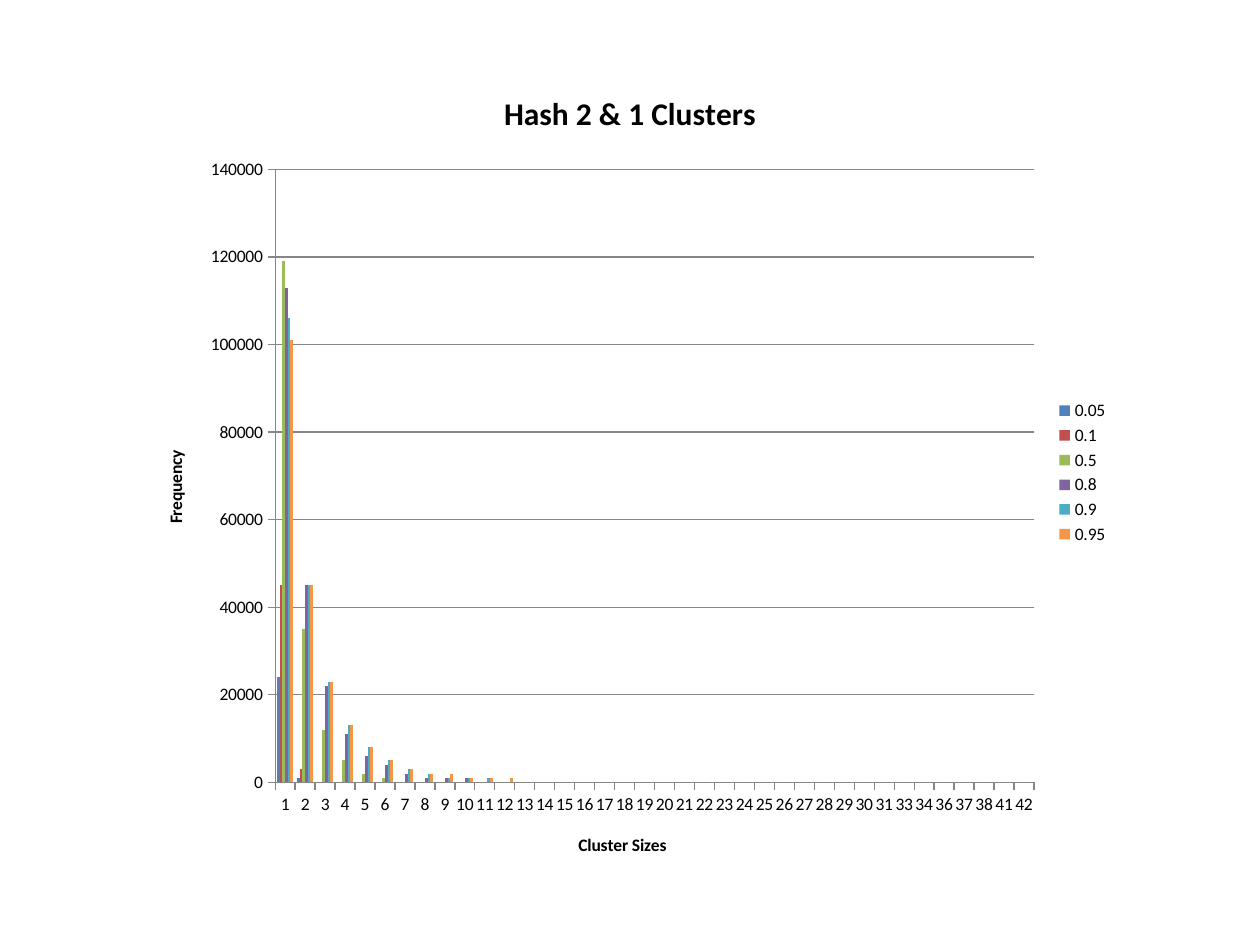
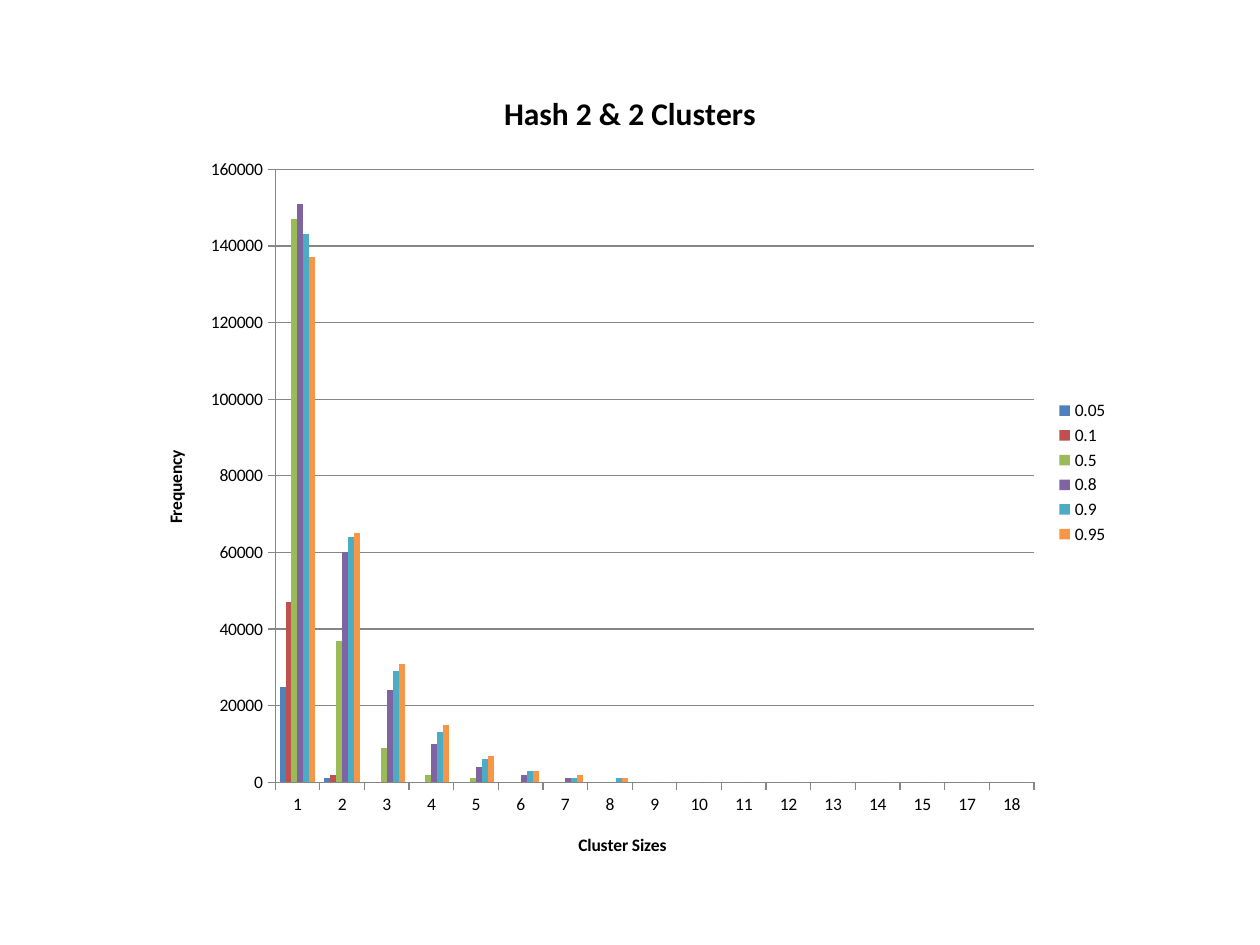
"""Two column charts of hash cluster sizes by load factor."""
from dataclasses import dataclass

from pptx import Presentation
from pptx.chart.data import CategoryChartData as Data
from pptx.dml.color import RGBColor as RGB
from pptx.enum.chart import XL_CHART_TYPE as Kind
from pptx.enum.chart import XL_LEGEND_POSITION as Place
from pptx.enum.chart import XL_TICK_MARK as Tick
from pptx.util import Inches, Pt


@dataclass(frozen=True)
class Theme:
    """Colours, type face and sizes of every slide."""
    face: str = "Calibri"
    ink: str = "000000"
    rule: str = "868686"
    paper: str = "FFFFFF"
    fills: tuple = ("4F81BD", "C0504D", "9BBB59", "8064A2", "4BACC6", "F79646")
    title: int = 18
    body: int = 10
    hair: float = 0.75


def put(obj, vals):
    """Set each named attribute of an object."""
    for name, val in vals.items():
        setattr(obj, name, val)


class Deck:
    """Holds the theme and the current slide."""

    def __init__(self, theme):
        """Start an empty deck of 10 by 7.5 inches."""
        self.theme = theme
        self.file = Presentation()
        put(self.file, {"slide_width": Inches(10), "slide_height": Inches(7.5)})
        self.slide = None

    def page(self):
        """Add a blank slide."""
        self.slide = self.file.slides.add_slide(self.file.slide_layouts[6])
        fill = self.slide.background.fill
        fill.solid()
        fill.fore_color.rgb = RGB.from_string(self.theme.paper)

    def font(self, font, size, bold=False):
        """Style a font."""
        put(font, {"name": self.theme.face, "size": Pt(size), "bold": bold})
        font.color.rgb = RGB.from_string(self.theme.ink)

    def line(self, form):
        """Draw a thin grey rule."""
        form.line.width = Pt(self.theme.hair)
        form.line.color.rgb = RGB.from_string(self.theme.rule)

    def label(self, host, text, size):
        """Give a chart or an axis a bold title."""
        host.has_title = True
        frame = host.chart_title if hasattr(host, "chart_title") else host.axis_title
        run = frame.text_frame.paragraphs[0].add_run()
        run.text = text
        self.font(run.font, size, True)

    def axis(self, axis, text, grid):
        """Style one axis and its title."""
        put(axis, {"has_major_gridlines": grid, "major_tick_mark": Tick.OUTSIDE,
                   "minor_tick_mark": Tick.NONE})
        self.line(axis.format)
        if grid:
            self.line(axis.major_gridlines.format)
        self.font(axis.tick_labels.font, self.theme.body)
        self.label(axis, text, self.theme.body)

    def chart(self, title, cats, rows):
        """Add a clustered column chart with titles and a legend."""
        data = Data(number_format="General")
        data.categories = [str(cat) for cat in cats]
        for name, (count, vals) in rows.items():
            data.add_series(name, vals + [0] * (count - len(vals)))
        box = map(Inches, (1.1, 0.5, 7.8, 6.5))
        chart = self.slide.shapes.add_chart(Kind.COLUMN_CLUSTERED, *box, data).chart
        self.font(chart.font, self.theme.body)
        self.label(chart, title, self.theme.title)
        self.axis(chart.category_axis, "Cluster Sizes", False)
        self.axis(chart.value_axis, "Frequency", True)
        chart.has_legend = True
        put(chart.legend, {"position": Place.RIGHT, "include_in_layout": False})
        self.font(chart.legend.font, self.theme.body)
        plot = chart.plots[0]
        put(plot, {"gap_width": 150, "overlap": 0, "vary_by_categories": False})
        for bars, tint in zip(plot.series, self.theme.fills):
            bars.invert_if_negative = False
            bars.format.fill.solid()
            bars.format.fill.fore_color.rgb = RGB.from_string(tint)


def sizes(last, gaps):
    """List the cluster sizes up to the last, without those never seen."""
    return [size for size in range(1, last + 1) if size not in gaps]


# Each load factor has its count of sizes and the counts that are not zero.
CHARTS = (
    ("Hash 2 & 1 Clusters", sizes(42, (32, 35, 39, 40)), {
        "0.05": (4, [24000, 1000]),
        "0.1": (5, [45000, 3000]),
        "0.5": (15, [119000, 35000, 12000, 5000, 2000, 1000]),
        "0.8": (23, [113000, 45000, 22000, 11000, 6000, 4000, 2000,
                     1000, 1000, 1000]),
        "0.9": (32, [106000, 45000, 23000, 13000, 8000, 5000, 3000,
                     2000, 1000, 1000, 1000]),
        "0.95": (38, [101000, 45000, 23000, 13000, 8000, 5000, 3000,
                      2000, 2000, 1000, 1000, 1000]),
    }),
    ("Hash 2 & 2 Clusters", sizes(18, (16,)), {
        "0.05": (3, [25000, 1000]),
        "0.1": (4, [47000, 2000]),
        "0.5": (10, [147000, 37000, 9000, 2000, 1000]),
        "0.8": (15, [151000, 60000, 24000, 10000, 4000, 2000, 1000]),
        "0.9": (17, [143000, 64000, 29000, 13000, 6000, 3000, 1000, 1000]),
        "0.95": (17, [137000, 65000, 31000, 15000, 7000, 3000, 2000, 1000]),
    }),
)

deck = Deck(Theme())
for title, cats, rows in CHARTS:
    deck.page()
    deck.chart(title, cats, rows)
deck.file.save("out.pptx")
